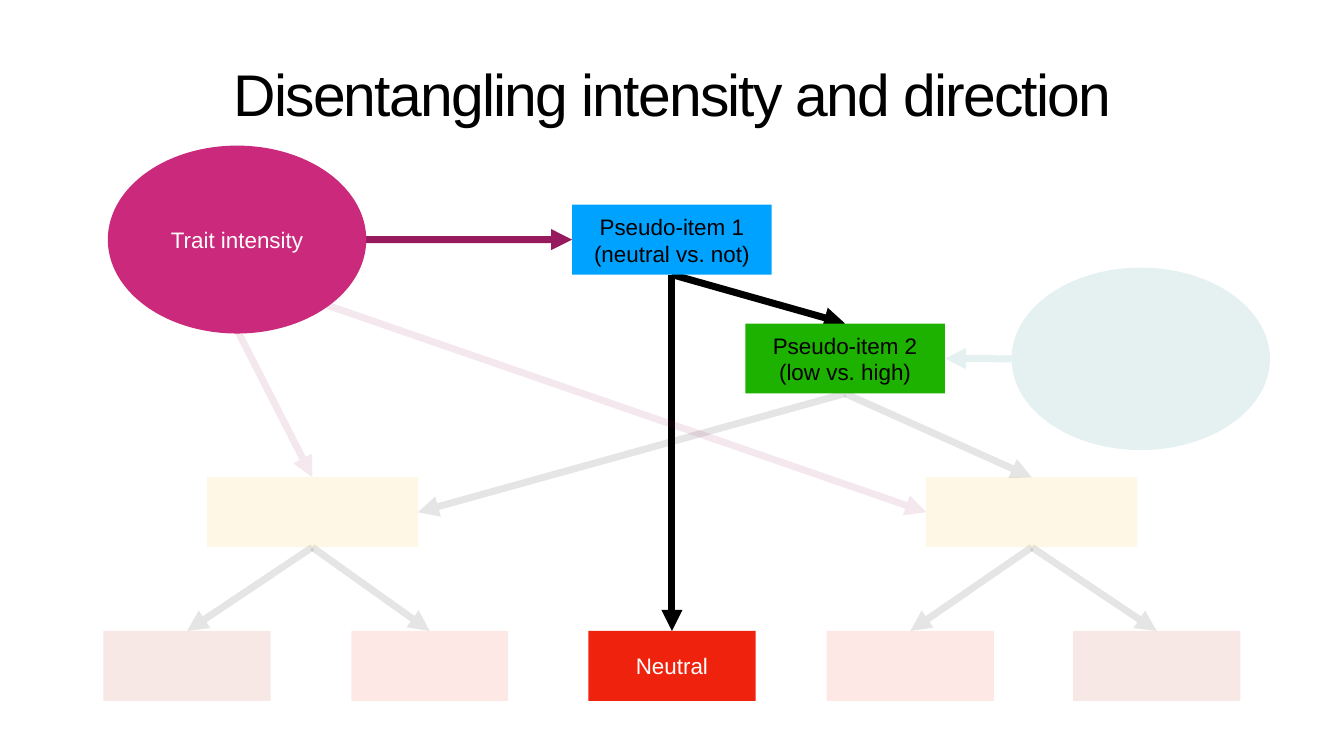
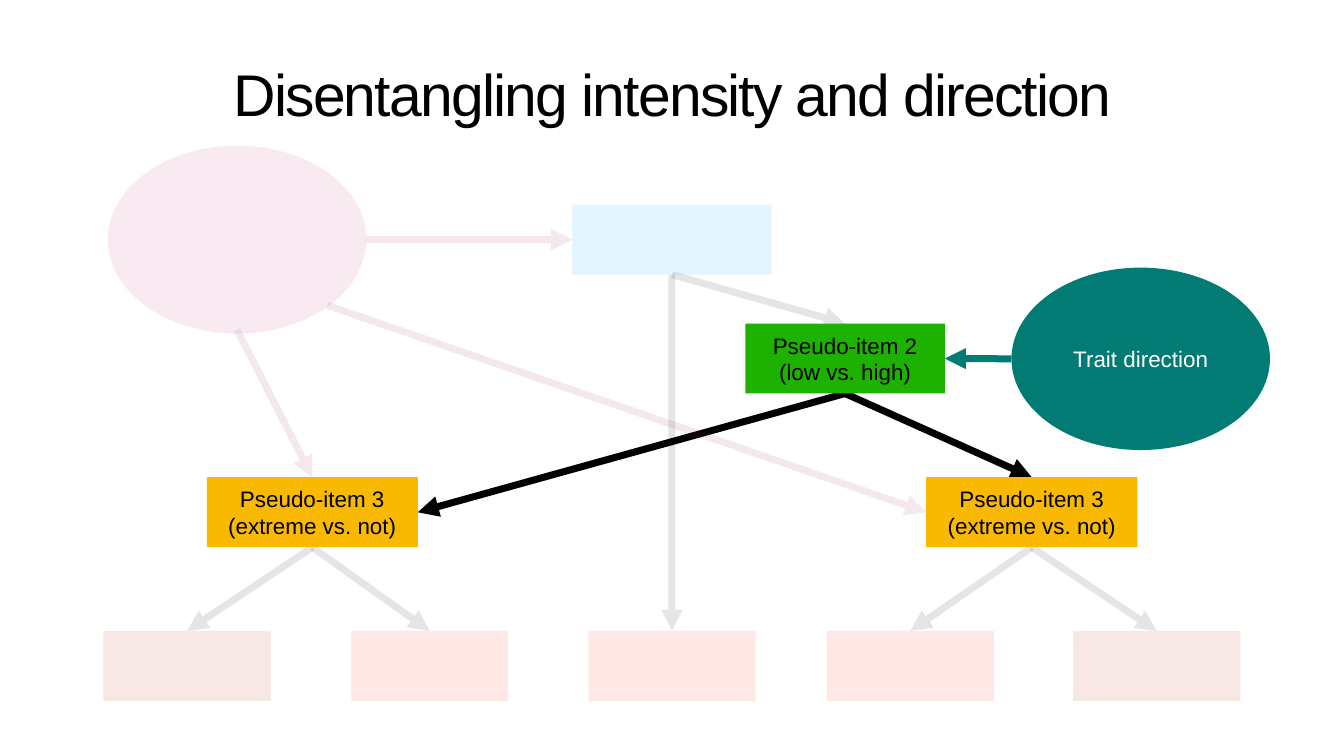
from typing import NamedTuple

from lxml.etree import SubElement
from pptx import Presentation
from pptx.dml.color import RGBColor
from pptx.enum.shapes import MSO_CONNECTOR as Connector, MSO_SHAPE as Preset
from pptx.enum.text import MSO_ANCHOR as Anchor, MSO_AUTO_SIZE as AutoSize, PP_ALIGN as Align
from pptx.oxml.ns import qn
from pptx.util import Pt

FONT = "Arial"
BLACK, WHITE = "000000", "FFFFFF"
RED, DARK_RED = "EE220D", "B41700"
MAGENTA, DARK_MAGENTA, TEAL = "CB297B", "981A5E", "027B75"
BLUE, GREEN, YELLOW = "00A2FF", "1DB100", "F9B900"
FADED_ALPHA = "10000"
INSET = 4

TITLE = "Disentangling intensity and direction"
TITLE_BOX = (101, 64, 1720, 122.4)
BOX_HEIGHT = 100
LEAF_TOP, EXTREME_TOP = 901.4, 681.8

SIDES = {
    "top": (0.5, 0),
    "left": (0, 0.5),
    "bottom": (0.5, 1),
    "right": (1, 0.5),
    "inner bottom": (0.5, 0.98),
    "lower right": (0.85, 0.85),
}


class Node(NamedTuple):
    box: tuple
    fill: str
    label: str = ""
    ink: str = BLACK
    preset: Preset = Preset.RECTANGLE


EXTREME_LABEL = "Pseudo-item 3\n(extreme vs. not)"

LEAVES = {
    "low extreme": Node((147.8, LEAF_TOP, 239, BOX_HEIGHT), DARK_RED),
    "low": Node((501.9, LEAF_TOP, 224, BOX_HEIGHT), RED),
    "neutral": Node((840.4, LEAF_TOP, 239, BOX_HEIGHT), RED, "Neutral", WHITE),
    "high": Node((1181, LEAF_TOP, 239, BOX_HEIGHT), RED),
    "high extreme": Node((1533, LEAF_TOP, 239, BOX_HEIGHT), DARK_RED),
}

TREE = {
    "direction": Node((1445, 382.3, 369.2, 260.6), TEAL, "Trait direction", WHITE, Preset.OVAL),
    "item 1": Node((817.4, 292.3, 285, BOX_HEIGHT), BLUE, "Pseudo-item 1\n(neutral vs. not)"),
    "item 2": Node((1064.8, 462.2, 285, BOX_HEIGHT), GREEN, "Pseudo-item 2\n(low vs. high)"),
    "item 3 high": Node((1323.2, EXTREME_TOP, 301.5, BOX_HEIGHT), YELLOW, EXTREME_LABEL),
    "item 3 low": Node((295.4, EXTREME_TOP, 301.5, BOX_HEIGHT), YELLOW, EXTREME_LABEL),
    "intensity": Node((154, 208, 369.2, 268.5), MAGENTA, "Trait intensity", WHITE, Preset.OVAL),
}

NODES = LEAVES | TREE

PATHS = [
    ("item 1", "bottom", "neutral", "top", BLACK),
    ("item 1", "bottom", "item 2", "top", BLACK),
    ("item 2", "bottom", "item 3 high", "top", BLACK),
    ("item 2", "bottom", "item 3 low", "right", BLACK),
    ("item 3 high", "bottom", "high extreme", "top", BLACK),
    ("item 3 low", "bottom", "low", "top", BLACK),
    ("intensity", "right", "item 1", "left", DARK_MAGENTA),
    ("direction", "left", "item 2", "right", TEAL),
    ("item 3 low", "bottom", "low extreme", "top", BLACK),
    ("item 3 high", "bottom", "high", "top", BLACK),
    ("intensity", "lower right", "item 3 high", "left", DARK_MAGENTA),
    ("intensity", "inner bottom", "item 3 low", "top", DARK_MAGENTA),
]

INTENSITY_STEP = {"intensity", "item 1", "item 2", "neutral"}
DIRECTION_STEP = {"direction", "item 2", "item 3 low", "item 3 high"}


def color(hex_code):
    return RGBColor.from_string(hex_code)


def fade(element):
    for tint in element.iter(qn("a:srgbClr")):
        SubElement(tint, qn("a:alpha")).set("val", FADED_ALPHA)


def set_text(frame, text, size, ink, anchor):
    frame.text = text
    frame.word_wrap = True
    frame.auto_size = AutoSize.NONE
    frame.vertical_anchor = anchor
    frame.margin_left = frame.margin_right = Pt(INSET)
    frame.margin_top = frame.margin_bottom = Pt(INSET)
    for paragraph in frame.paragraphs:
        paragraph.alignment = Align.CENTER
        for run in paragraph.runs:
            run.font.name = FONT
            run.font.size = Pt(size)
            run.font.color.rgb = color(ink)


def add_title(slide):
    title = slide.shapes.title
    title.left, title.top, title.width, title.height = map(Pt, TITLE_BOX)
    set_text(title.text_frame, TITLE, 84, BLACK, Anchor.BOTTOM)
    heading = title.text_frame.paragraphs[0]
    heading.line_spacing = 0.8
    heading.runs[0].font._element.set("spc", "-250")


def add_node(slide, node, faded):
    shape = slide.shapes.add_shape(node.preset, *map(Pt, node.box))
    shape.shadow.inherit = False
    shape.fill.solid()
    shape.fill.fore_color.rgb = color(node.fill)
    shape.line.fill.background()
    if faded:
        fade(shape.element)
    elif node.label:
        set_text(shape.text_frame, node.label, 32, node.ink, Anchor.MIDDLE)


def edge_point(name, side):
    left, top, width, height = NODES[name].box
    across, down = SIDES[side]
    return Pt(left + across * width), Pt(top + down * height)


def add_arrow(slide, start, end, ink, faded):
    arrow = slide.shapes.add_connector(Connector.STRAIGHT, *start, *end)
    arrow.line.width = Pt(10)
    arrow.line.color.rgb = color(ink)
    properties = arrow.element.spPr
    SubElement(properties.find(qn("a:ln")), qn("a:tailEnd")).set("type", "triangle")
    SubElement(properties, qn("a:effectLst"))
    if faded:
        fade(arrow.element)


def add_tree_slide(deck, active):
    slide = deck.slides.add_slide(deck.slide_layouts[5])
    add_title(slide)
    for name, leaf in LEAVES.items():
        add_node(slide, leaf, name not in active)
    for source, source_side, target, target_side, ink in PATHS:
        add_arrow(slide, edge_point(source, source_side), edge_point(target, target_side),
                  ink, not {source, target} <= active)
    for name, node in TREE.items():
        add_node(slide, node, name not in active)


def main():
    deck = Presentation()
    deck.slide_width, deck.slide_height = Pt(1920), Pt(1080)
    for active in (INTENSITY_STEP, DIRECTION_STEP):
        add_tree_slide(deck, active)
    deck.save("out.pptx")


if __name__ == "__main__":
    main()
